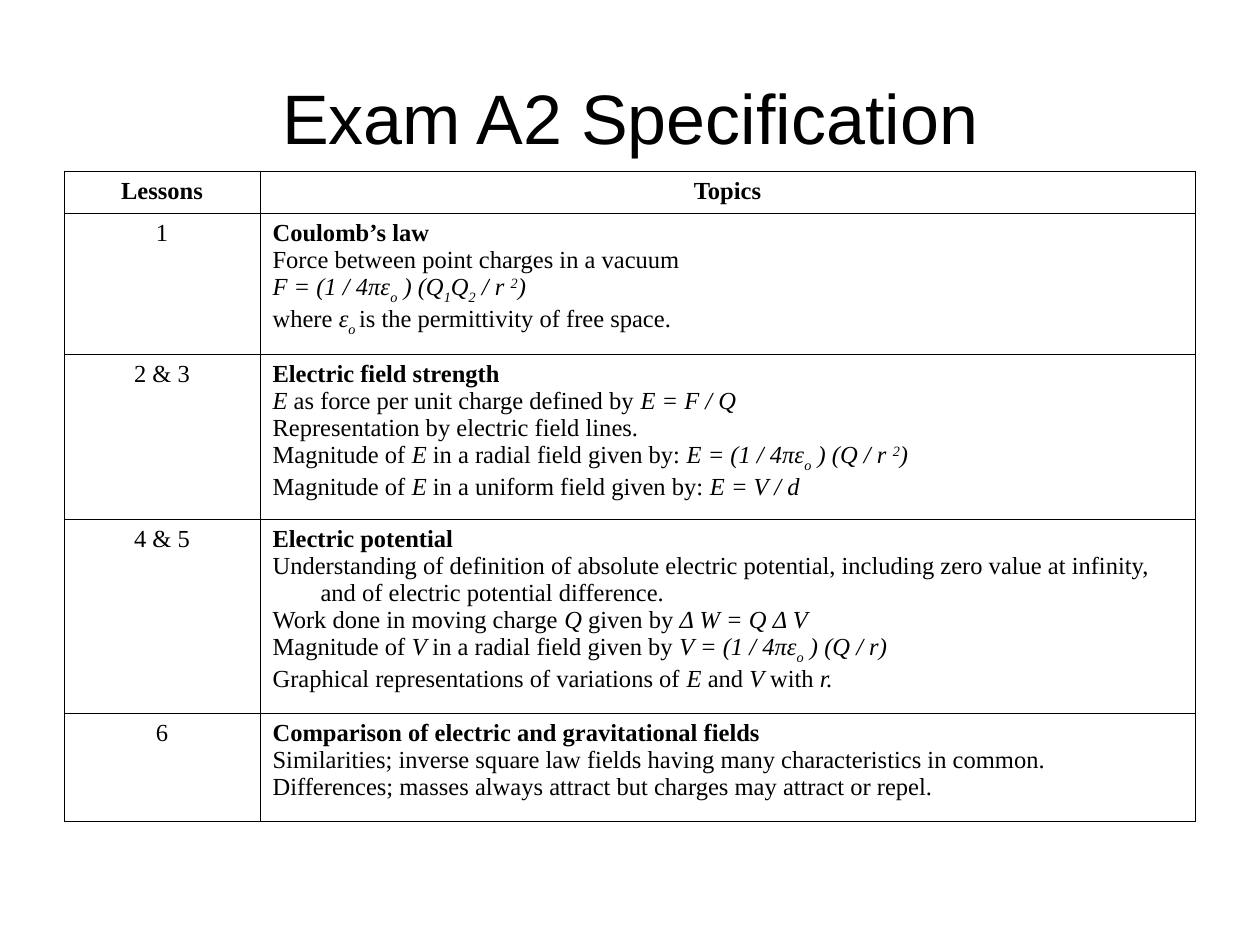
"""Build a slide that lists the topics of a physics specification by lesson."""
from dataclasses import dataclass

from lxml.etree import SubElement
from pptx import Presentation
from pptx.dml.color import RGBColor
from pptx.enum.text import MSO_ANCHOR, PP_ALIGN
from pptx.oxml.ns import qn
from pptx.table import _Cell
from pptx.text.text import Font, _Paragraph
from pptx.util import Emu, Pt

BLACK = RGBColor(0x00, 0x00, 0x00)
TITLE_FONT = "Arial"
TABLE_FONT = "Times New Roman"
PX_PER_INCH = 126
COLUMN_WIDTHS = (196, 935)
ROW_HEIGHTS = (42, 141, 165, 194, 108)
TABLE_LEFT, TABLE_TOP = 64, 171
HANGING_INDENT = 48
BORDER_WIDTH = Pt(0.45)


@dataclass(frozen=True)
class Span:
    text: str
    bold: bool = False
    italic: bool = False
    baseline: int = 0


@dataclass(frozen=True)
class Entry:
    lessons: Span
    topics: tuple[tuple[Span, ...], ...]
    topics_alignment: PP_ALIGN = PP_ALIGN.LEFT


def px(length: int) -> Emu:
    return Emu(round(length * 914400 / PX_PER_INCH))


def heading(text: str) -> Span:
    return Span(text, bold=True)


def math(text: str, baseline: int = 0) -> Span:
    return Span(text, italic=True, baseline=baseline)


def sub(text: str) -> Span:
    return math(text, -30)


SQUARED = (math("2", 30), math(")"))

ENTRIES = (
    Entry(heading("Lessons"), ((heading("Topics"),),), PP_ALIGN.CENTER),
    Entry(Span("1"), (
        (heading("Coulomb’s law"),),
        (Span("Force between point charges in a vacuum"),),
        (math("F = (1 / 4πε"), sub("o"), math(" ) (Q"), sub("1"),
         math("Q"), sub("2"), math(" / r "), *SQUARED),
        (Span("where "), math("ε"), sub("o "),
         Span("is the permittivity of free space.")),
    )),
    Entry(Span("2 & 3"), (
        (heading("Electric field strength"),),
        (math("E "), Span("as force per unit charge defined by "), math("E = F / Q")),
        (Span("Representation by electric field lines."),),
        (Span("Magnitude of "), math("E "), Span("in a radial field given by: "),
         math("E = (1 / 4πε"), sub("o"), math(" ) (Q / r "), *SQUARED),
        (Span("Magnitude of "), math("E "), Span("in a uniform field given by: "),
         math("E = V / d")),
    )),
    Entry(Span("4 & 5"), (
        (heading("Electric potential"),),
        (Span("Understanding of definition of absolute electric potential, "
              "including zero value at infinity, and of electric potential "
              "difference."),),
        (Span("Work done in moving charge "), math("Q "), Span("given by "),
         math("Δ W = Q Δ V")),
        (Span("Magnitude of "), math("V "), Span("in a radial field given by "),
         math("V = (1 / 4πε"), sub("o"), math(" ) (Q / r)")),
        (Span("Graphical representations of variations of "), math("E "),
         Span("and "), math("V "), Span("with "), math("r.")),
    )),
    Entry(Span("6"), (
        (heading("Comparison of electric and gravitational fields"),),
        (Span("Similarities; inverse square law fields having many "
              "characteristics in common."),),
        (Span("Differences; masses always attract but charges may attract or repel."),),
    )),
)


def style_font(font: Font, name: str, size: int) -> None:
    font.name = name
    font.size = Pt(size)
    font.color.rgb = BLACK


def write_paragraph(paragraph: _Paragraph, spans: tuple[Span, ...],
                    alignment: PP_ALIGN) -> None:
    paragraph.alignment = alignment
    properties = paragraph._p.get_or_add_pPr()
    properties.set("marL", str(px(HANGING_INDENT)))
    properties.set("indent", str(-px(HANGING_INDENT)))
    for span in spans:
        run = paragraph.add_run()
        run.text = span.text
        style_font(run.font, TABLE_FONT, 14)
        run.font.bold = span.bold
        run.font.italic = span.italic
        if span.baseline:
            run._r.get_or_add_rPr().set("baseline", str(span.baseline * 1000))


def draw_borders(cell: _Cell) -> None:
    properties = cell._tc.get_or_add_tcPr()
    for side in ("lnL", "lnR", "lnT", "lnB"):
        line = SubElement(properties, qn(f"a:{side}"), w=str(BORDER_WIDTH))
        fill = SubElement(line, qn("a:solidFill"))
        SubElement(fill, qn("a:srgbClr"), val=str(BLACK))


def fill_cell(cell: _Cell, lines: tuple[tuple[Span, ...], ...],
              alignment: PP_ALIGN) -> None:
    draw_borders(cell)
    cell.fill.background()
    frame = cell.text_frame
    for index, spans in enumerate(lines):
        paragraph = frame.add_paragraph() if index else frame.paragraphs[0]
        write_paragraph(paragraph, spans, alignment)


def add_title(page, text: str) -> None:
    box = page.shapes.add_textbox(px(63), px(38), px(1134), px(157))
    frame = box.text_frame
    frame.word_wrap = True
    frame.vertical_anchor = MSO_ANCHOR.MIDDLE
    frame.text = text
    paragraph = frame.paragraphs[0]
    paragraph.alignment = PP_ALIGN.CENTER
    style_font(paragraph.runs[0].font, TITLE_FONT, 40)


def add_topics_table(page, entries: tuple[Entry, ...]) -> None:
    table = page.shapes.add_table(
        len(entries), len(COLUMN_WIDTHS), px(TABLE_LEFT), px(TABLE_TOP),
        px(sum(COLUMN_WIDTHS)), px(sum(ROW_HEIGHTS))).table
    table.first_row = False
    table.horz_banding = False
    for column, width in zip(table.columns, COLUMN_WIDTHS):
        column.width = px(width)
    for row, height, entry in zip(table.rows, ROW_HEIGHTS, entries):
        row.height = px(height)
        lessons_cell, topics_cell = row.cells
        fill_cell(lessons_cell, ((entry.lessons,),), PP_ALIGN.CENTER)
        fill_cell(topics_cell, entry.topics, entry.topics_alignment)


def main() -> None:
    deck = Presentation()
    deck.slide_width, deck.slide_height = px(1260), px(945)
    page = deck.slides.add_slide(deck.slide_layouts[6])
    add_title(page, "Exam A2 Specification")
    add_topics_table(page, ENTRIES)
    deck.save("out.pptx")


if __name__ == "__main__":
    main()
